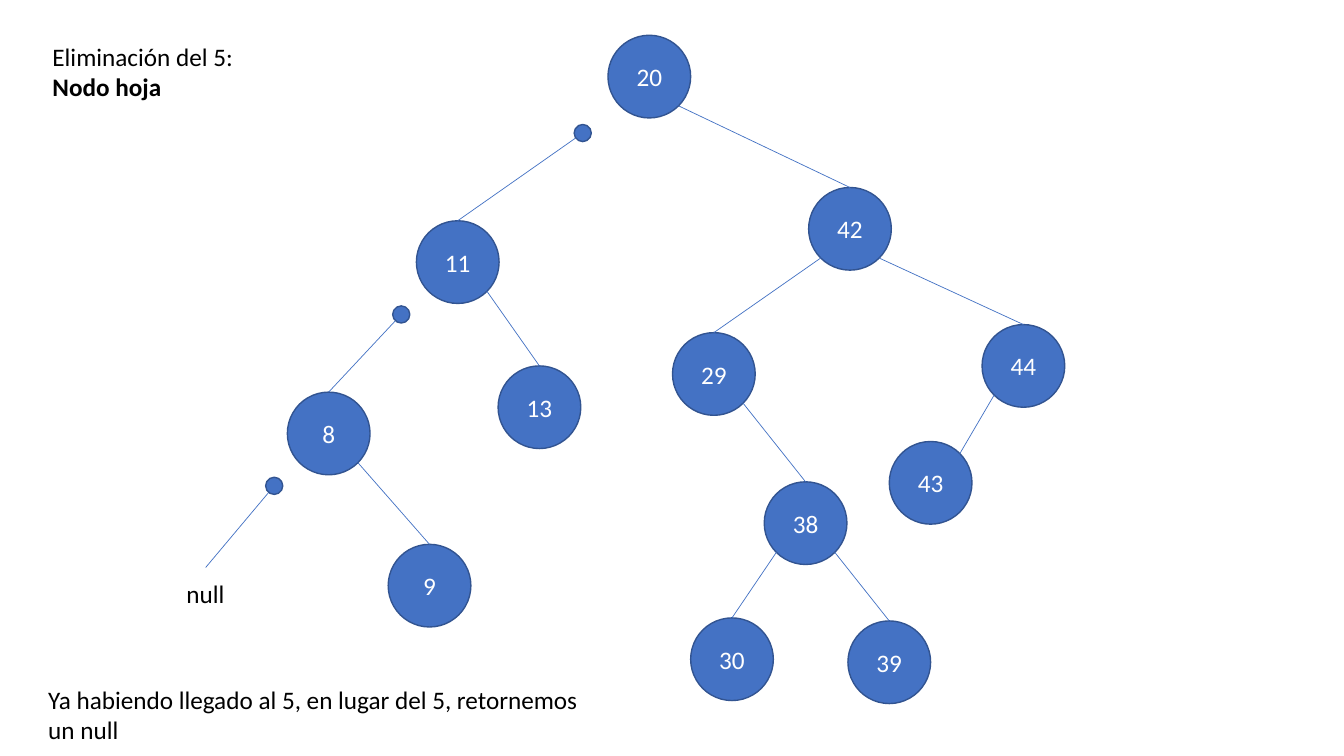
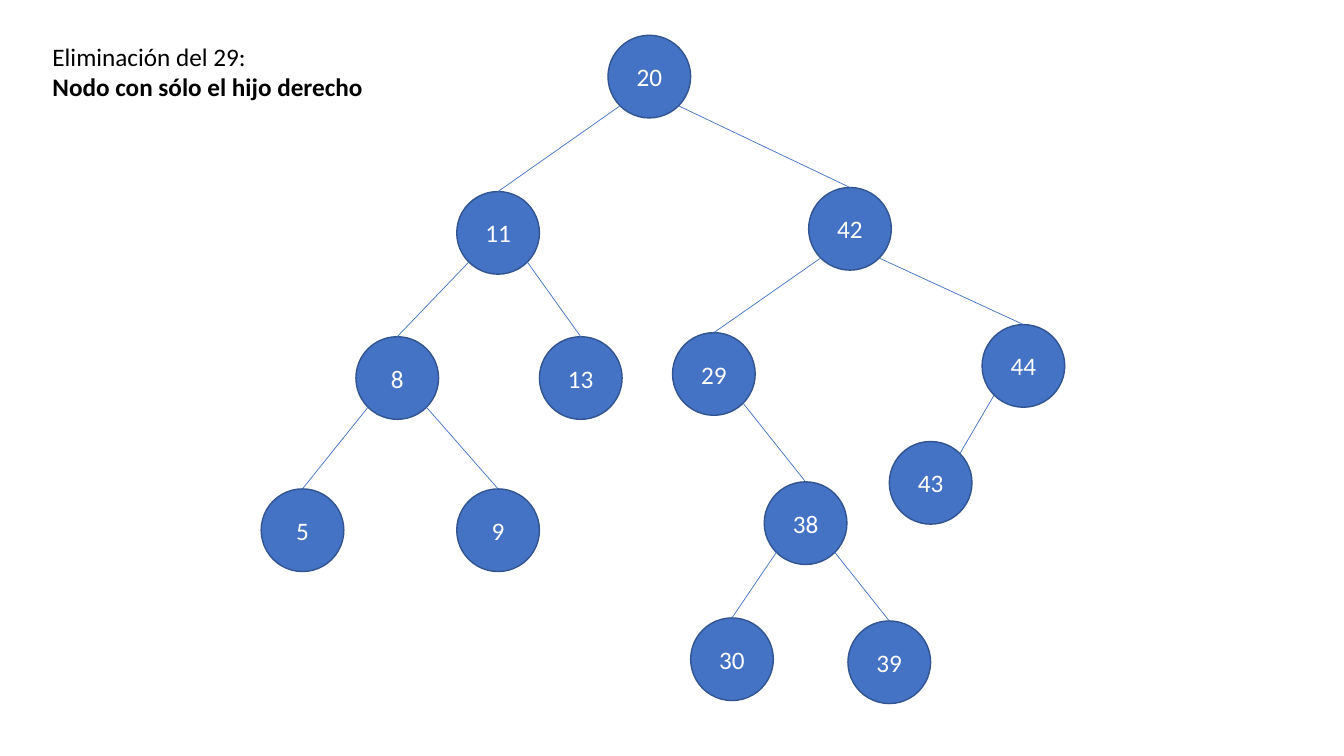
import math
from dataclasses import dataclass
from typing import Optional

from lxml import etree
from pptx import Presentation
from pptx.dml.color import RGBColor
from pptx.enum import shapes, text
from pptx.oxml import ns
from pptx.util import Inches, Pt

COLORS = {"node": "4472C4", "outline": "325491", "link": "4472C4",
          "label": "FFFFFF", "ink": "000000"}
FONT = "Calibri"
TEXT_SIZE = 18
NODE_SIZE = 0.82
DOT_SIZE = 0.17
CORNER = NODE_SIZE / 2 * math.sqrt(0.5)
NULL_GAP = 0.06


@dataclass(frozen=True)
class Point:
    x: float
    y: float


@dataclass(frozen=True)
class Node:
    """A tree node; its link starts at the dot, if any, instead of at the parent."""
    label: str
    left: float
    top: float
    parent: Optional[str] = None
    dot: Optional[Point] = None
    joins_top: bool = True

    @property
    def center(self) -> Point:
        return Point(self.left + NODE_SIZE / 2, self.top + NODE_SIZE / 2)

    def corner(self, across: int, down: int) -> Point:
        """Point on the circle's diagonal; -1 means left or up, 1 right or down."""
        return Point(self.center.x + across * CORNER, self.center.y + down * CORNER)


@dataclass(frozen=True)
class TextArea:
    left: float
    top: float
    width: float
    height: float


ROOT_AND_RIGHT = [
    Node("20", 6.03, 0.35),
    Node("42", 8.02, 1.86, "20"),
    Node("29", 6.67, 3.3, "42"),
    Node("44", 9.74, 3.22, "42"),
    Node("38", 7.58, 4.78, "29"),
    Node("30", 6.85, 6.13, "38"),
    Node("39", 8.41, 6.16, "38"),
    Node("43", 8.82, 4.38, "44", joins_top=False),
]
LEFT_DETACHED = [
    Node("11", 4.13, 2.19, "20", dot=Point(5.78, 1.32)),
    Node("8", 2.85, 3.89, "11", dot=Point(3.98, 3.12)),
    Node("13", 4.94, 3.63, "11"),
    Node("9", 3.85, 5.4, "8"),
]
LEFT_WHOLE = [
    Node("11", 4.53, 1.9, "20"),
    Node("8", 3.53, 3.34, "11"),
    Node("13", 5.35, 3.34, "11"),
    Node("5", 2.59, 4.85, "8"),
    Node("9", 4.53, 4.85, "8"),
]
HEADING = TextArea(0.42, 0.36, 3.58, 0.71)
NOTE = TextArea(0.38, 6.74, 5.52, 0.71)
NULL_LABEL = TextArea(1.75, 5.69, 0.58, 0.4)
NULL_DOT = Point(2.72, 4.82)


def color(name: str) -> RGBColor:
    return RGBColor.from_string(COLORS[name])


def add_span(para, words: str, color_name: str = "ink", bold: bool = False) -> None:
    span = para.add_run()
    span.text = words
    span.font.name = FONT
    span.font.size = Pt(TEXT_SIZE)
    span.font.bold = bold
    span.font.color.rgb = color(color_name)


def add_heading(slide, action: str, case: str) -> None:
    title = slide.shapes.title
    title.left, title.top = Inches(HEADING.left), Inches(HEADING.top)
    title.width, title.height = Inches(HEADING.width), Inches(HEADING.height)
    frame = title.text_frame
    frame.word_wrap = True
    frame.auto_size = text.MSO_AUTO_SIZE.NONE
    frame.vertical_anchor = text.MSO_ANCHOR.TOP
    add_span(frame.paragraphs[0], action)
    add_span(frame.add_paragraph(), case, bold=True)
    for para in frame.paragraphs:
        para.alignment = text.PP_ALIGN.LEFT
        para.line_spacing = 1.0


def add_text(slide, area: TextArea, words: str, wrap: bool = True) -> None:
    box = slide.shapes.add_textbox(Inches(area.left), Inches(area.top),
                                   Inches(area.width), Inches(area.height))
    box.text_frame.word_wrap = wrap
    box.text_frame.auto_size = text.MSO_AUTO_SIZE.SHAPE_TO_FIT_TEXT
    add_span(box.text_frame.paragraphs[0], words)


def add_circle(slide, center: Point, size: float):
    circle = slide.shapes.add_shape(
        shapes.MSO_SHAPE.OVAL, Inches(center.x - size / 2), Inches(center.y - size / 2),
        Inches(size), Inches(size))
    circle.shadow.inherit = False
    circle.fill.solid()
    circle.fill.fore_color.rgb = color("node")
    circle.line.color.rgb = color("outline")
    circle.line.width = Pt(1)
    return circle


def add_node(slide, node: Node):
    circle = add_circle(slide, node.center, NODE_SIZE)
    circle.text_frame.vertical_anchor = text.MSO_ANCHOR.MIDDLE
    para = circle.text_frame.paragraphs[0]
    para.alignment = text.PP_ALIGN.CENTER
    add_span(para, node.label, "label")
    return circle


def add_link(slide, start: Point, end: Point):
    link = slide.shapes.add_connector(
        shapes.MSO_CONNECTOR.STRAIGHT, Inches(start.x), Inches(start.y),
        Inches(end.x), Inches(end.y))
    link.line.color.rgb = color("link")
    link.line.width = Pt(0.5)
    etree.SubElement(link._element.spPr, ns.qn("a:effectLst"))
    return link


def add_tree(slide, nodes: list[Node]) -> None:
    by_label = {node.label: node for node in nodes}
    circles = {node.label: add_node(slide, node) for node in nodes}
    for node in nodes:
        if node.parent is None:
            continue
        parent = by_label[node.parent]
        side = -1 if node.left < parent.left else 1
        start = node.dot or parent.corner(side, 1)
        link = add_link(slide, start, node.corner(-side, -1))
        if node.joins_top:
            link.end_connect(circles[node.label], 0)
        if node.dot:
            add_circle(slide, node.dot, DOT_SIZE)


def add_null_branch(slide) -> None:
    label_top = Point(NULL_LABEL.left + NULL_LABEL.width / 2, NULL_LABEL.top - NULL_GAP)
    add_link(slide, NULL_DOT, label_top)
    add_circle(slide, NULL_DOT, DOT_SIZE)
    add_text(slide, NULL_LABEL, "null", wrap=False)


def add_page(deck, action: str, case: str, left_branch: list[Node]):
    page = deck.slides.add_slide(deck.slide_layouts.get_by_name("Title Only"))
    add_heading(page, action, case)
    add_tree(page, ROOT_AND_RIGHT + left_branch)
    return page


def main() -> None:
    deck = Presentation()
    deck.slide_width, deck.slide_height = Inches(13.33), Inches(7.5)

    leaf_page = add_page(deck, "Eliminación del 5:", "Nodo hoja", LEFT_DETACHED)
    add_null_branch(leaf_page)
    add_text(leaf_page, NOTE,
             "Ya habiendo llegado al 5, en lugar del 5, retornemos un null")

    add_page(deck, "Eliminación del 29:", "Nodo con sólo el hijo derecho", LEFT_WHOLE)
    deck.save("out.pptx")


if __name__ == "__main__":
    main()
